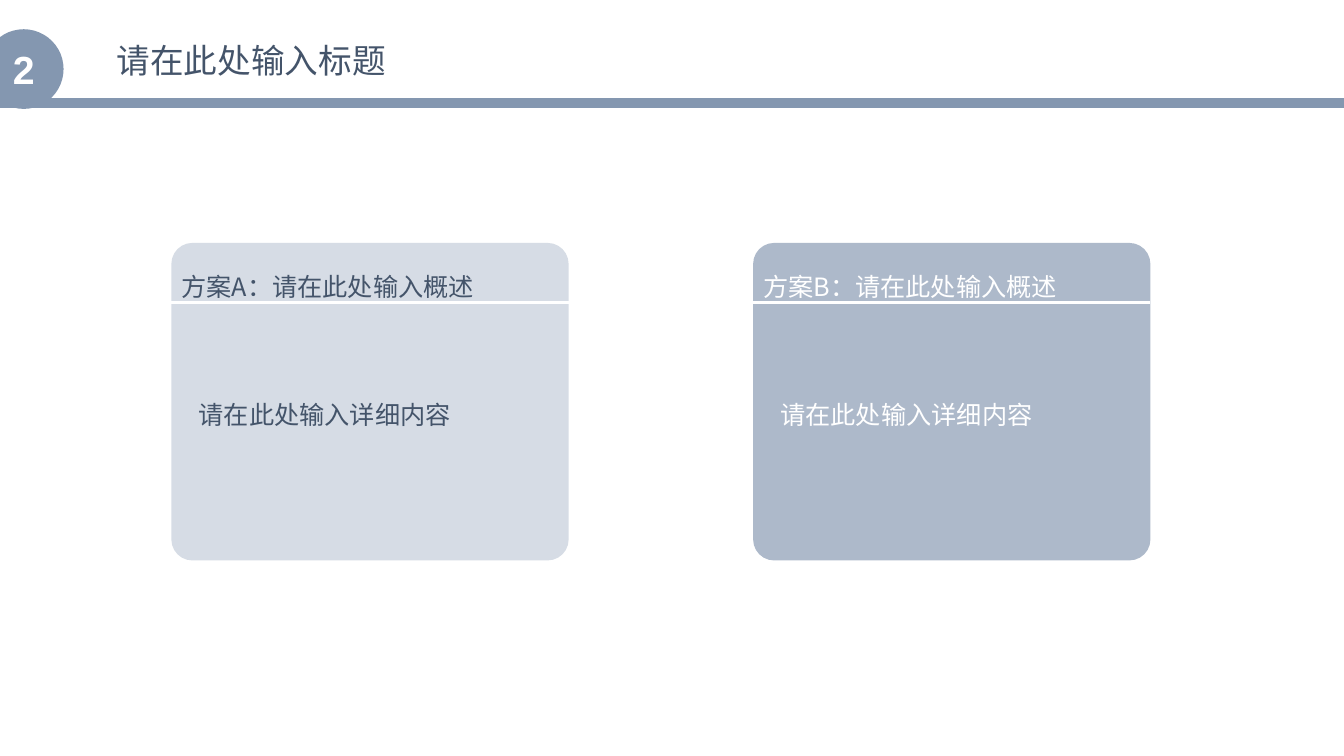
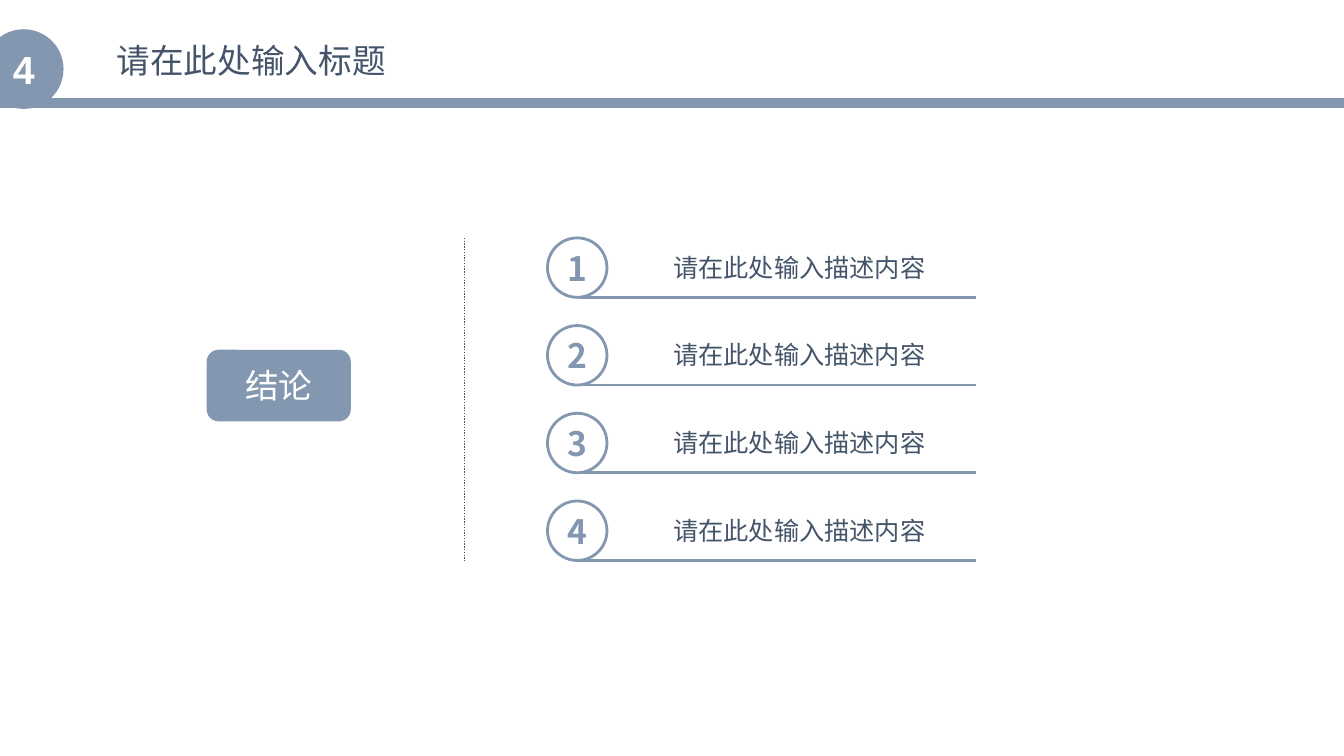
from dataclasses import dataclass

from pptx import Presentation
from pptx.dml.color import RGBColor
from pptx.enum.dml import MSO_LINE
from pptx.enum.shapes import MSO_CONNECTOR, MSO_SHAPE
from pptx.enum.text import MSO_ANCHOR, MSO_AUTO_SIZE, PP_ALIGN
from pptx.oxml.ns import qn
from pptx.util import Inches, Pt

OVAL, ROUNDED = MSO_SHAPE.OVAL, MSO_SHAPE.ROUNDED_RECTANGLE
STRAIGHT = MSO_CONNECTOR.STRAIGHT
DOTTED = MSO_LINE.ROUND_DOT
MIDDLE, CENTER, LEFT = MSO_ANCHOR.MIDDLE, PP_ALIGN.CENTER, PP_ALIGN.LEFT
FIT_SHAPE = MSO_AUTO_SIZE.SHAPE_TO_FIT_TEXT


@dataclass(frozen=True)
class Theme:
    """Colours, fonts and type sizes shared by the slides."""
    accent: str = "8497B0"
    ink: str = "44546A"
    white: str = "FFFFFF"
    pale: str = "D6DCE5"
    mid: str = "ADB9CA"
    latin: str = "Arial"
    cjk: str = "Noto Sans CJK SC"
    digits: str = "Noto Sans CJK KR"
    badge: int = 28
    head: int = 24
    body: int = 18


T = Theme()

# Content
TITLE = "请在此处输入标题"
OPTIONS = [  # heading, detail, fill, text colour
    ("方案A：请在此处输入概述", "请在此处输入详细内容", T.pale, T.ink),
    ("方案B：请在此处输入概述", "请在此处输入详细内容", T.mid, T.white),
]
CONCLUSION = "结论"
POINTS = ["请在此处输入描述内容"] * 4

# Layout, in inches
SLIDE_W, SLIDE_H = 13.33, 7.5
BAND_Y = 1.02
CARD_X, CARD_Y, CARD_W, CARD_H, CARD_STEP = 1.7, 2.41, 3.94, 3.15, 5.77
POINT_X, POINT_Y, POINT_STEP, RING = 5.43, 2.36, 0.87, 0.59
RULE_X, RULE_END = 5.74, 9.68


def rgb(color):
    """Turn a hex string into a colour."""
    return RGBColor.from_string(color)


def write(tf, text, color, size, font=T.cjk, align=LEFT, bold=None, spacing=None):
    """Write one styled paragraph into a text frame."""
    p = tf.paragraphs[0]
    p.alignment = align
    if spacing:
        p.line_spacing = spacing
    r = p.add_run()
    r.text = text
    for name, value in {"size": Pt(size), "name": font, "bold": bold}.items():
        setattr(r.font, name, value)
    r.font.color.rgb = rgb(color)
    latin = r.font._element.find(qn("a:latin"))
    east = latin.makeelement(qn("a:ea"), {"typeface": T.cjk if font == T.latin else font})
    latin.addnext(east)


def add_text(shapes, box, text, color, size, inset=0.1, **style):
    """Add a wrapping text box."""
    tf = shapes.add_textbox(*map(Inches, box)).text_frame
    for name, value in {"word_wrap": True, "auto_size": FIT_SHAPE,
                        "margin_left": Inches(inset)}.items():
        setattr(tf, name, value)
    write(tf, text, color, size, **style)


def add_shape(shapes, kind, box, fill=None, outline=None):
    """Add a flat shape, filled or outlined."""
    sp = shapes.add_shape(kind, *map(Inches, box))
    sp.shadow.inherit = False
    if fill:
        sp.fill.solid()
        sp.fill.fore_color.rgb = rgb(fill)
    else:
        sp.fill.background()
    if outline:
        sp.line.color.rgb = rgb(outline)
        sp.line.width = Pt(2)
    else:
        sp.line.fill.background()
    return sp


def label(sp, text, color, size, font=T.cjk, bold=None):
    """Centre a label in a shape."""
    sp.text_frame.vertical_anchor = MIDDLE
    write(sp.text_frame, text, color, size, font, CENTER, bold)


def add_line(shapes, ends, color, width, dash=None):
    """Add a straight line without a shadow."""
    line = shapes.add_connector(STRAIGHT, *map(Inches, ends))
    line.line.color.rgb = rgb(color)
    line.line.width = Pt(width)
    if dash:
        line.line.dash_style = dash
    props = line._element.spPr
    props.append(props.makeelement(qn("a:effectLst"), {}))


def new_slide(prs, number):
    """Add a slide with its title, number badge and band."""
    s = prs.slides.add_slide(prs.slide_layouts[6])
    add_text(s.shapes, (1.06, 0.35, 9.85, 0.51), TITLE, T.ink, T.head, font=T.latin)
    badge = add_shape(s.shapes, OVAL, (-0.16, 0.29, 0.79, 0.79), T.accent)
    label(badge, number, T.white, T.badge, T.latin, True)
    add_line(s.shapes, (0, BAND_Y, SLIDE_W, BAND_Y), T.accent, 7)
    return s


def add_card(s, index, heading, detail, fill, color):
    """Add one option card as a group."""
    shapes = s.shapes.add_group_shape().shapes
    x = CARD_X + index * CARD_STEP
    card = add_shape(shapes, ROUNDED, (x, CARD_Y, CARD_W, CARD_H), fill)
    card.adjustments[0] = 0.066
    add_text(shapes, (x, 2.55, CARD_W, 0.49), heading, color, T.body, spacing=1.3)
    add_text(shapes, (x, 3.82, CARD_W, 0.5), detail, color, T.body,
             inset=0.27, spacing=1.3)
    add_line(shapes, (x, 3, x + CARD_W, 3), T.white, 2)


def add_point(s, index, text):
    """Add one numbered, underlined point as a group."""
    shapes = s.shapes.add_group_shape().shapes
    y = POINT_Y + index * POINT_STEP
    ring = add_shape(shapes, OVAL, (POINT_X, y, RING, RING), outline=T.accent)
    label(ring, str(index + 1), T.accent, T.head, T.digits, True)
    add_line(shapes, (RULE_X, y + RING, RULE_END, y + RING), T.accent, 2)
    add_text(shapes, (6.58, y + 0.09, 3.1, 0.4), text, T.ink, T.body)


def options_slide(prs):
    """Build the comparison of two options."""
    s = new_slide(prs, "2")
    for i, option in enumerate(OPTIONS):
        add_card(s, i, *option)


def conclusion_slide(prs):
    """Build the conclusion with its points."""
    s = new_slide(prs, "4")
    tag = add_shape(s.shapes, ROUNDED, (2.05, 3.47, 1.43, 0.71), T.accent)
    label(tag, CONCLUSION, T.white, T.head)
    bottom = POINT_Y + (len(POINTS) - 1) * POINT_STEP + RING
    add_line(s.shapes, (4.61, POINT_Y, 4.61, bottom), T.ink, 1, DOTTED)
    for i, text in enumerate(POINTS):
        add_point(s, i, text)


prs = Presentation()
prs.slide_width, prs.slide_height = Inches(SLIDE_W), Inches(SLIDE_H)
options_slide(prs)
conclusion_slide(prs)
prs.save("out.pptx")
